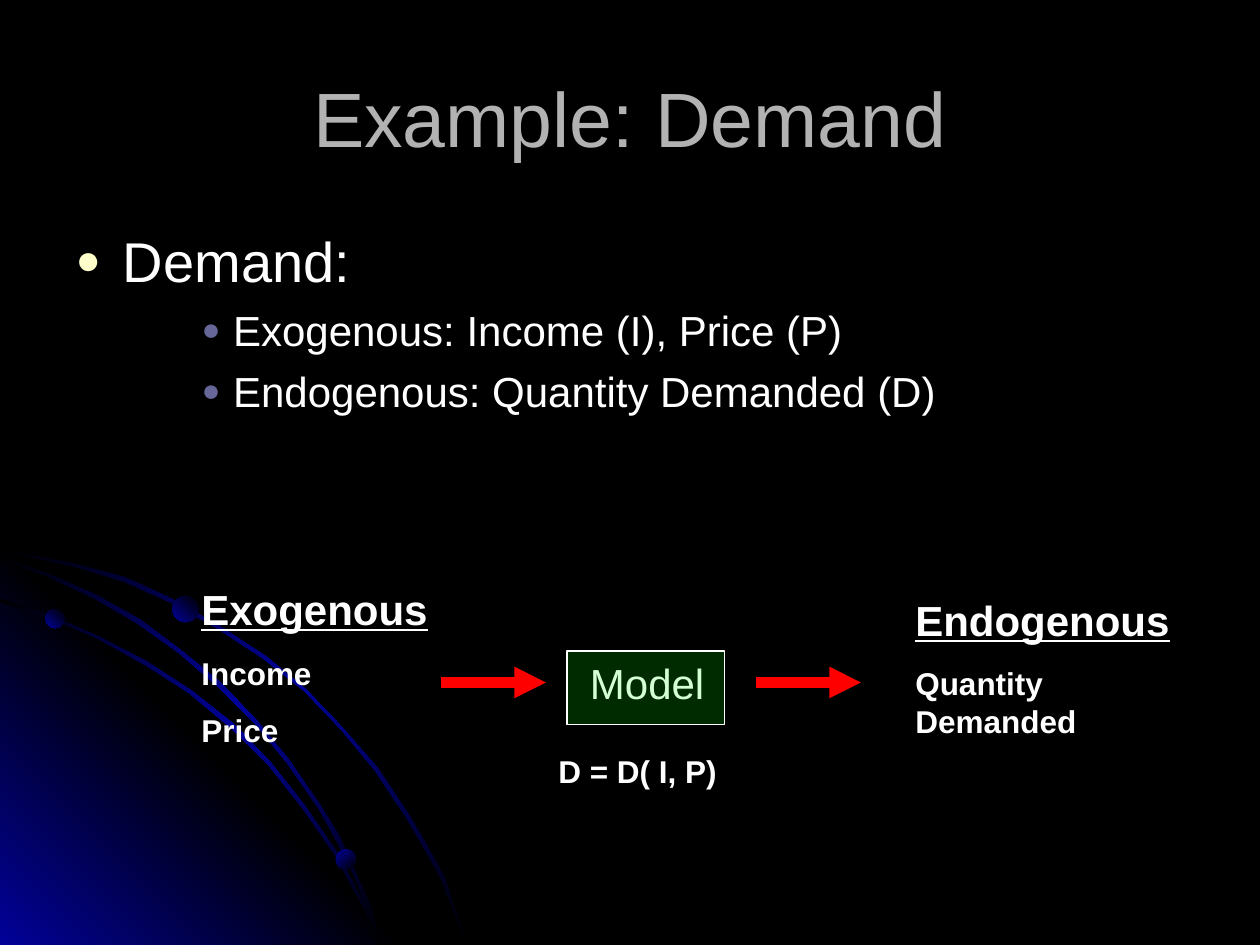
from dataclasses import dataclass

from lxml.etree import SubElement
from pptx import Presentation
from pptx.dml.color import RGBColor
from pptx.enum.shapes import MSO_CONNECTOR, MSO_SHAPE
from pptx.enum.text import MSO_ANCHOR, MSO_AUTO_SIZE, PP_ALIGN
from pptx.oxml.ns import qn
from pptx.util import Pt


@dataclass(frozen=True)
class Theme:
    font: str = "Arial"
    background: str = "000000"
    glow: str = "010199"
    title: str = "B2B2B2"
    text: str = "FFFFFF"
    bullet: str = "FFFFCC"
    sub_bullet: str = "666699"
    arrow: str = "FF0000"
    model: str = "00FF00"
    title_size: int = 44
    body_size: int = 32
    heading_size: int = 24
    label_size: int = 18


class SlideBuilder:
    def __init__(self, slide, theme):
        self.slide = slide
        self.theme = theme
        fill = slide.background.fill
        fill.solid()
        fill.fore_color.rgb = RGBColor.from_string(theme.background)

    def add_run(self, paragraph, text, size, color=None, bold=False, underline=False):
        run = paragraph.add_run()
        run.text = text
        font = run.font
        font.name, font.size = self.theme.font, Pt(size)
        font.bold, font.underline = bold, underline
        font.color.rgb = RGBColor.from_string(color or self.theme.text)

    def gradient(self, shape, colors, angle):
        """Spread the colours evenly along a clockwise angle, without outline."""
        shape.shadow.inherit = False
        shape.line.fill.background()
        shape.fill.gradient()
        shape.fill.gradient_angle = 360 - angle
        stops = shape.element.spPr.find(qn("a:gradFill")).find(qn("a:gsLst"))
        for stop in list(stops):
            stops.remove(stop)
        for index, color in enumerate(colors):
            position = 100000 * index // (len(colors) - 1)
            stop = SubElement(stops, qn("a:gs"), pos=str(position))
            SubElement(stop, qn("a:srgbClr"), val=color)

    def polygon(self, points, colors, angle):
        builder = self.slide.shapes.build_freeform(*points[0], scale=Pt(1))
        builder.add_line_segments(points[1:], close=True)
        self.gradient(builder.convert_to_shape(), colors, angle)

    def orbit(self, edge, thickness=1.5):
        """Draw a thin band whose lower edge is given, cut off at the slide's sides."""
        bottom = edge[-1][1]
        upper = [(x + thickness, y - thickness) for x, y in edge[1:-1]]
        upper = [(0, edge[0][1] - thickness), *upper, (edge[-1][0] + thickness, bottom)]
        dark, glow = self.theme.background, self.theme.glow
        self.polygon(edge + upper[::-1], [dark, glow, dark], 225)

    def planet(self, left, top, diameter, angle):
        ball = self.slide.shapes.add_shape(
            MSO_SHAPE.OVAL, Pt(left), Pt(top), Pt(diameter), Pt(diameter))
        self.gradient(ball, [self.theme.background, self.theme.glow], angle)

    def place(self, holder, left, top, width, height, anchor):
        """Position a placeholder and bring it in front of what is drawn so far."""
        holder.left, holder.top = Pt(left), Pt(top)
        holder.width, holder.height = Pt(width), Pt(height)
        self.slide.shapes.element.append(holder.element)
        frame = holder.text_frame
        frame.auto_size = MSO_AUTO_SIZE.NONE
        frame.vertical_anchor = anchor
        return frame

    def title(self, text, *box):
        frame = self.place(self.slide.shapes.title, *box, MSO_ANCHOR.MIDDLE)
        heading = frame.paragraphs[0]
        heading.alignment = PP_ALIGN.CENTER
        self.add_run(heading, text, self.theme.title_size, self.theme.title)

    def body(self, items, *box):
        frame = self.place(self.slide.placeholders[1], *box, MSO_ANCHOR.TOP)
        theme = self.theme
        styles = {0: (theme.body_size, 8, 27, 27, theme.bullet),
                  2: (theme.heading_size, 6, 90, 18, theme.sub_bullet)}
        for index, (level, text) in enumerate(items):
            size, before, margin, hanging, bullet = styles[level]
            item = frame.add_paragraph() if index else frame.paragraphs[0]
            item.level, item.space_before = level, Pt(before)
            self.add_run(item, text, size)
            props = item._p.get_or_add_pPr()
            props.set("marL", str(Pt(margin)))
            props.set("indent", str(-Pt(hanging)))
            SubElement(SubElement(props, qn("a:buClr")), qn("a:srgbClr"), val=bullet)
            SubElement(props, qn("a:buSzPct"), val="75000")
            SubElement(props, qn("a:buFont"), typeface=theme.font)
            SubElement(props, qn("a:buChar"), char="●")

    def label(self, box, heading=None, lines=(), bold=True):
        """Write an optional heading, underlined when bold, above smaller lines."""
        frame = self.slide.shapes.add_textbox(*map(Pt, box)).text_frame
        frame.word_wrap = True
        frame.auto_size = MSO_AUTO_SIZE.SHAPE_TO_FIT_TEXT
        rows = [(heading, self.theme.heading_size, 15, bold)] if heading else []
        rows += [(line, self.theme.label_size, 11.2, False) for line in lines]
        for index, (text, size, before, underline) in enumerate(rows):
            row = frame.add_paragraph() if index else frame.paragraphs[0]
            row.space_before = Pt(before)
            self.add_run(row, text, size, bold=bold, underline=underline)

    def tinted_frame(self, box, opacity):
        frame = self.slide.shapes.add_shape(MSO_SHAPE.RECTANGLE, *map(Pt, box))
        frame.shadow.inherit = False
        frame.fill.solid()
        frame.fill.fore_color.rgb = RGBColor.from_string(self.theme.model)
        color = frame.element.spPr.find(qn("a:solidFill")).find(qn("a:srgbClr"))
        SubElement(color, qn("a:alpha"), val=str(opacity * 1000))
        frame.line.color.rgb = RGBColor.from_string(self.theme.text)
        frame.line.width = Pt(0.75)

    def arrow(self, left, y, length):
        arrow = self.slide.shapes.add_connector(
            MSO_CONNECTOR.STRAIGHT, Pt(left), Pt(y), Pt(left + length), Pt(y))
        arrow.line.color.rgb = RGBColor.from_string(self.theme.arrow)
        arrow.line.width = Pt(6)
        props = arrow._element.spPr
        SubElement(props.find(qn("a:ln")), qn("a:tailEnd"), type="triangle")
        SubElement(props, qn("a:effectLst"))


OUTER_ORBIT = [(0, 315), (20, 319), (40, 323), (70, 332), (97, 344), (124.5, 359),
               (150, 376.5), (173.5, 395), (195, 417), (214.5, 440.5), (232.5, 467),
               (242.5, 484.5), (252, 502.5), (259, 520.5), (266.5, 539.5)]
INNER_ORBIT = [(0, 343.5), (28, 353), (55.5, 365), (83, 380), (108, 396.5),
               (132, 416), (153.5, 438), (173, 462), (191, 487.5), (205, 514),
               (211.5, 527), (216.5, 539.5)]
MIDDLE_ORBIT = [(0, 319.5), (26, 329), (53.5, 342), (78.5, 355.5), (102, 373),
                (124.5, 391.5), (145.5, 414), (163.5, 435.5), (181.5, 461.5),
                (192, 480), (201.5, 499.5), (210, 520), (216.5, 539.5)]


def main():
    presentation = Presentation()
    presentation.slide_width, presentation.slide_height = Pt(720), Pt(540)
    theme = Theme()
    demand = SlideBuilder(
        presentation.slides.add_slide(presentation.slide_layouts[1]), theme)

    demand.orbit(OUTER_ORBIT)
    demand.polygon([(232, 539.5), (0, 539.5), (0, 307.5)],
                   [theme.glow, theme.background, theme.glow], 135)
    demand.orbit(INNER_ORBIT)
    demand.orbit(MIDDLE_ORBIT)
    demand.planet(26, 348, 11, 135)
    demand.planet(192, 485.5, 11.5, 225)
    demand.planet(98.5, 340.5, 15, 135)

    demand.title("Example: Demand", 36, 21.6, 648, 90)
    demand.body([(0, "Demand:"),
                 (2, "Exogenous: Income (I), Price (P)"),
                 (2, "Endogenous: Quantity Demanded (D)")], 36, 126, 684, 356.4)

    demand.label((108, 330, 150, 102), "Exogenous", ["Income", "Price"])
    demand.arrow(252, 390, 60)
    demand.label((330, 372, 96, 36), "Model", bold=False)
    demand.tinted_frame((324, 372, 90, 42), opacity=17)
    demand.arrow(432, 390, 60)
    demand.label((516, 336, 174, 91), "Endogenous", ["Quantity Demanded"])
    demand.label((312, 426, 114, 29), lines=["D = D( I, P)"])
    presentation.save("out.pptx")


if __name__ == "__main__":
    main()
